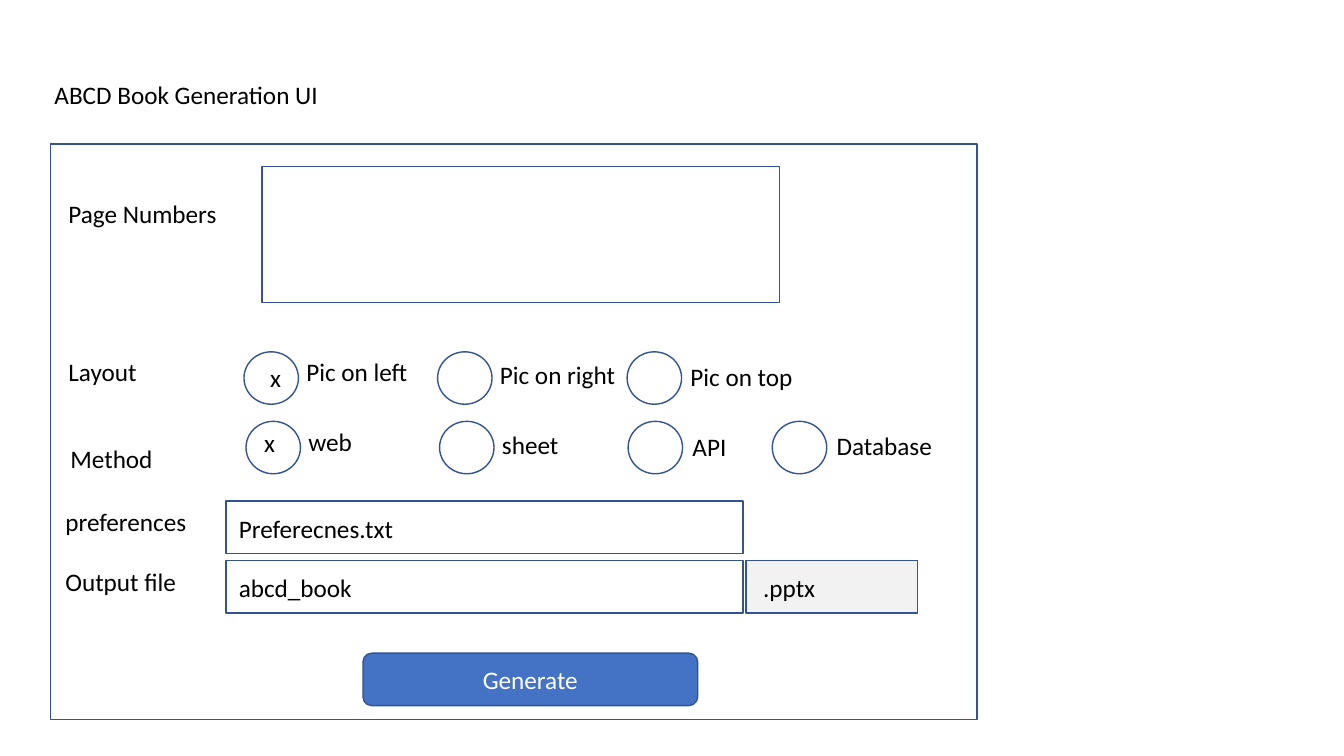
from pptx import Presentation
from pptx import util as u
from pptx.dml.color import RGBColor
from pptx.enum import shapes, text

THEME = {
    "font": "Calibri", "size": u.Pt(18), "line_width": u.Pt(1),
    "text": RGBColor.from_string("000000"),
    "outline": RGBColor.from_string("325491"),
    "button": RGBColor.from_string("4472C4"),
    "button_text": RGBColor.from_string("FFFFFF"),
    "suffix": RGBColor.from_string("F2F2F2"),
}
KIND = shapes.MSO_SHAPE
LABEL_HEIGHT, FIELD_HEIGHT, CIRCLE_WIDTH = 0.4, 0.52, 0.54

presentation = Presentation()
presentation.slide_width, presentation.slide_height = u.Inches(13.33), u.Inches(7.5)
slide = presentation.slides.add_slide(presentation.slide_layouts[5])


def write(shape, words, color=THEME["text"], align=text.PP_ALIGN.LEFT,
          anchor=text.MSO_ANCHOR.TOP, wrap=False):
    """Put one formatted line of text in a shape."""
    frame = shape.text_frame
    frame.text = words
    frame_format = {"word_wrap": wrap, "auto_size": text.MSO_AUTO_SIZE.NONE,
                    "vertical_anchor": anchor}
    for name, value in frame_format.items():
        setattr(frame, name, value)
    paragraph = frame.paragraphs[0]
    paragraph.alignment = align
    font = paragraph.runs[0].font
    for name, value in {"name": THEME["font"], "size": THEME["size"]}.items():
        setattr(font, name, value)
    font.color.rgb = color


def add_outline(kind, left, top, width, height, fill=None):
    """Add an outlined shape, filled only if a colour is given."""
    shape = slide.shapes.add_shape(kind, *map(u.Inches, (left, top, width, height)))
    shape.shadow.inherit = False
    shape.line.color.rgb = THEME["outline"]
    shape.line.width = THEME["line_width"]
    if fill is None:
        shape.fill.background()
    else:
        shape.fill.solid()
        shape.fill.fore_color.rgb = fill
    return shape


# Title
title = slide.shapes.title
title_place = {"left": 0.44, "top": 0.74, "width": 2.85, "height": LABEL_HEIGHT}
for name, value in title_place.items():
    setattr(title, name, u.Inches(value))
write(title, "ABCD Book Generation UI")

# Form frame, entry fields and file suffix
add_outline(KIND.RECTANGLE, 0.5, 1.43, 9.19, 5.71)
add_outline(KIND.RECTANGLE, 2.6, 1.65, 5.13, 1.35)
for field_top in (4.97, 5.56):
    add_outline(KIND.RECTANGLE, 2.24, field_top, 5.13, FIELD_HEIGHT)
add_outline(KIND.RECTANGLE, 7.4, 5.56, 1.7, FIELD_HEIGHT, THEME["suffix"])

# Option circles: row top and the left edge of each circle
option_rows = {3.49: (2.42, 4.34, 6.22), 4.18: (2.44, 4.36, 6.23, 7.66)}
for row_top, lefts in option_rows.items():
    for left in lefts:
        add_outline(KIND.OVAL, left, row_top, CIRCLE_WIDTH, FIELD_HEIGHT)

# Labels, option names, marks and field values: words, left, top, width
labels = [
    ("Page Numbers", 0.58, 1.92, 1.69),
    ("Layout", 0.58, 3.49, 0.89),
    ("Pic on left", 2.94, 3.49, 1.22),
    ("Pic on right", 4.86, 3.52, 1.36),
    ("Pic on top", 6.75, 3.54, 1.23),
    ("Method", 0.6, 4.35, 1.03),
    ("web", 2.96, 4.18, 0.64),
    ("sheet", 4.88, 4.21, 0.72),
    ("API", 6.77, 4.23, 0.54),
    ("Database", 8.2, 4.22, 1.16),
    ("x", 2.58, 3.55, 0.31),
    ("x", 2.52, 4.19, 0.31),
    ("preferences", 0.55, 4.97, 1.42),
    ("Preferecnes.txt", 2.27, 5.04, 1.75),
    ("Output file", 0.55, 5.57, 1.31),
    ("abcd_book", 2.27, 5.63, 1.34),
    (".pptx", 7.47, 5.63, 1.62),
]
for words, left, top, width in labels:
    label = slide.shapes.add_textbox(*map(u.Inches, (left, top, width, LABEL_HEIGHT)))
    write(label, words, wrap=words == ".pptx")

# Generate button
button = add_outline(KIND.ROUNDED_RECTANGLE, 3.6, 6.48, 3.32, FIELD_HEIGHT, THEME["button"])
write(button, "Generate", THEME["button_text"], text.PP_ALIGN.CENTER,
      text.MSO_ANCHOR.MIDDLE, wrap=True)

presentation.save("out.pptx")
